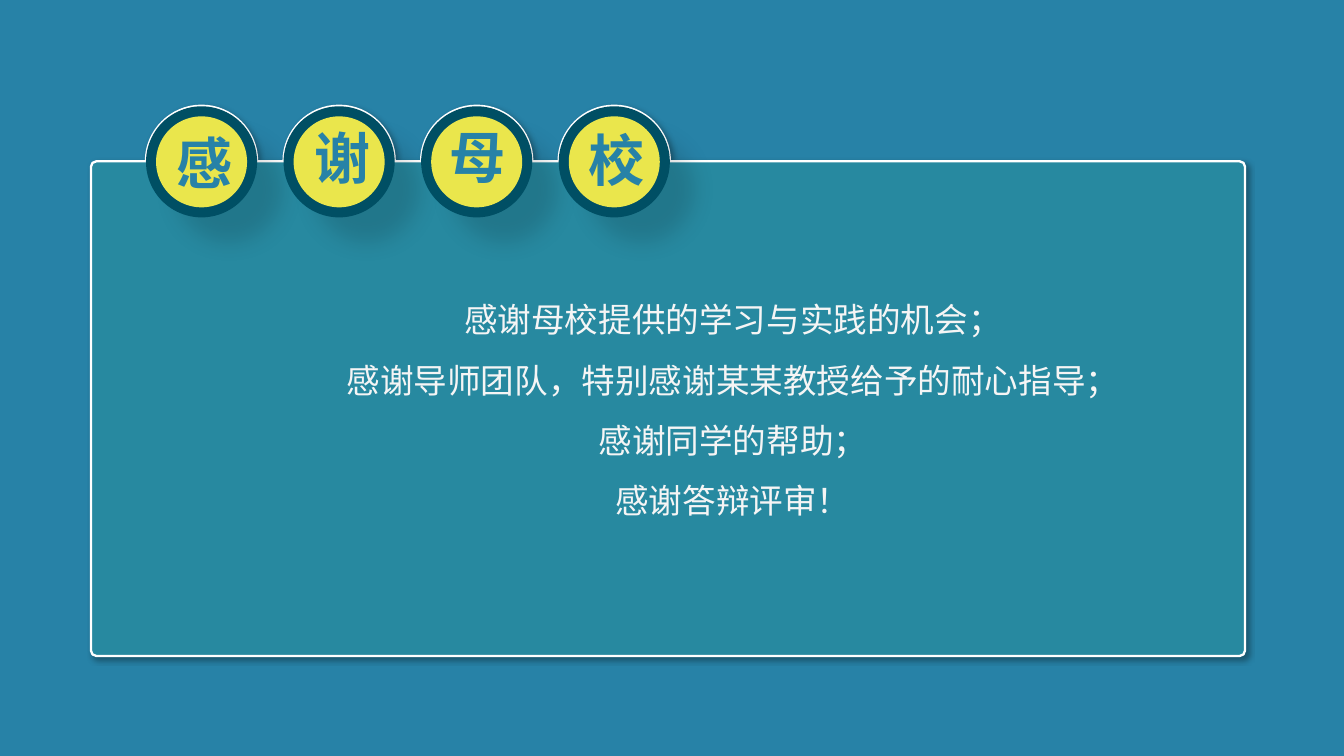
from lxml import etree
from pptx import Presentation
from pptx import util as u
from pptx.dml.color import RGBColor
from pptx.enum import shapes, text
from pptx.oxml.ns import qn

Cm = u.Cm
FONT = "Noto Sans CJK SC"
BLUE, TEAL, NAVY = "2782A7", "2789A0", "004F64"
YELLOW, WHITE, PALE = "EAE64C", "FFFFFF", "F5F5F5"
MARGINS = {"margin_left": Cm(0.18), "margin_right": Cm(0.18),
           "margin_top": Cm(0.1), "margin_bottom": Cm(0.1)}
SLIDE_WIDTH, SLIDE_HEIGHT = 25.4, 14.29

# Each heading character with its nudge from the centre of its badge, in cm
HEADING = [("感", -0.66, -0.73), ("谢", -0.64, -0.83),
           ("母", -0.69, -0.85), ("校", -0.67, -0.78)]
THANKS = [
    "感谢母校提供的学习与实践的机会；",
    "感谢导师团队，特别感谢某某教授给予的耐心指导；",
    "感谢同学的帮助；",
    "感谢答辩评审！",
]
BADGE_RADIUS, BADGE_PITCH, FIRST_BADGE = 1.05, 2.6, 2.09
ROUNDNESS = 0.55  # handle length of a quarter circle, as a share of its radius


def paint(fill, colour):
    fill.solid()
    fill.fore_color.rgb = RGBColor.from_string(colour)


def set_format(target, values):
    for name, value in values.items():
        setattr(target, name, value)


def style_run(run, colour, **values):
    set_format(run.font, {"name": FONT, **values})
    paint(run.font.fill, colour)
    etree.SubElement(run.font._element, qn("a:ea"), typeface=FONT)


def cast_shadow(shape, alpha, blur, distance, scale=100):
    """Throw a black shadow down to the right; alpha and scale in percent, lengths in points."""
    shape.shadow.inherit = False
    effects = shape._element.spPr.find(qn("a:effectLst"))
    outer = etree.SubElement(effects, qn("a:outerShdw"), blurRad=str(u.Pt(blur)),
                             dist=str(u.Pt(distance)), dir=str(45 * 60000),
                             sx=str(scale * 1000), sy=str(scale * 1000),
                             algn="tl", rotWithShape="0")
    black = etree.SubElement(outer, qn("a:srgbClr"), val="000000")
    etree.SubElement(black, qn("a:alpha"), val=str(alpha * 1000))


def add_backdrop(layout, slide):
    backdrop = slide.shapes.add_shape(shapes.MSO_SHAPE.RECTANGLE, 0, Cm(-0.08),
                                      Cm(SLIDE_WIDTH), Cm(SLIDE_HEIGHT + 0.08))
    paint(backdrop.fill, BLUE)
    backdrop.line.fill.background()
    backdrop.shadow.inherit = False
    layout.shapes._spTree.insert(2, backdrop._element)


def badge_centres(left):
    return [left + FIRST_BADGE + BADGE_PITCH * i for i in range(len(HEADING))]


def curve_segment(line, start, bend, end):
    """Turn a straight path segment into a quarter circle that bends towards a corner."""
    curve = etree.Element(qn("a:cubicBezTo"))
    handles = [tuple(p + ROUNDNESS * (b - p) for p, b in zip(point, bend))
               for point in (start, end)]
    for x, y in (*handles, end):
        etree.SubElement(curve, qn("a:pt"), x=str(round(x)), y=str(round(y)))
    line.getparent().replace(line, curve)


def add_panel(slide, left, top, width, height, corner=0.1):
    right, bottom, r = left + width, top + height, BADGE_RADIUS
    # Points in order, each with the corner its curve bends towards, if it has one
    outline = [((left, top + corner), None), ((left + corner, top), (left, top))]
    for x in badge_centres(left):
        outline += [((x - r, top), None),
                    ((x, top - r), (x - r, top - r)),
                    ((x + r, top), (x + r, top - r))]
    outline += [((right - corner, top), None), ((right, top + corner), (right, top)),
                ((right, bottom - corner), None), ((right - corner, bottom), (right, bottom)),
                ((left + corner, bottom), None), ((left, bottom - corner), (left, bottom))]

    points = [(Cm(x), Cm(y)) for (x, y), _ in outline]
    builder = slide.shapes.build_freeform(*points[0])
    builder.add_line_segments(points[1:], close=True)
    panel = builder.convert_to_shape()

    def local(point):
        return Cm(point[0]) - panel.left, Cm(point[1]) - panel.top

    segments = list(panel._element.iter(qn("a:lnTo")))
    for line, (start, _), (end, bend) in zip(segments, outline, outline[1:]):
        if bend:
            curve_segment(line, local(start), local(bend), local(end))

    paint(panel.fill, TEAL)
    paint(panel.line.fill, WHITE)
    panel.line.width = u.Pt(1.25)
    cast_shadow(panel, 32, 3, 2)


def add_badge(slide, x, y):
    badge = slide.shapes.add_group_shape()
    for radius, colour in ((BADGE_RADIUS, NAVY), (0.86, YELLOW)):
        disc = badge.shapes.add_shape(shapes.MSO_SHAPE.OVAL, Cm(x - radius), Cm(y - radius),
                                      Cm(2 * radius), Cm(2 * radius))
        paint(disc.fill, colour)
        disc.line.fill.background()
        if colour == NAVY:
            cast_shadow(disc, 12, 12, 23, scale=95)
        else:
            disc.shadow.inherit = False


def add_heading(slide, left, top):
    centres = badge_centres(left)
    for x in centres:
        add_badge(slide, x, top)
    for x, (character, dx, dy) in zip(centres, HEADING):
        label = slide.shapes.add_textbox(Cm(x + dx), Cm(top + dy), Cm(1.04), Cm(1.47))
        set_format(label.text_frame, {**MARGINS, "word_wrap": True})
        run = label.text_frame.paragraphs[0].add_run()
        run.text = character
        style_run(run, BLUE, size=u.Pt(30), bold=True)


def add_thanks(slide, left, top, width, height):
    body = slide.placeholders[1]
    set_format(body, {"left": Cm(left), "top": Cm(top),
                      "width": Cm(width), "height": Cm(height)})
    frame = body.text_frame
    set_format(frame, {**MARGINS, "word_wrap": True,
                       "vertical_anchor": text.MSO_ANCHOR.TOP,
                       "auto_size": text.MSO_AUTO_SIZE.SHAPE_TO_FIT_TEXT})
    frame.text = "\n".join(THANKS)
    for paragraph in frame.paragraphs:
        properties = paragraph._p.get_or_add_pPr()
        properties.set("marL", "0")
        properties.set("indent", "0")
        etree.SubElement(properties, qn("a:buNone"))
        set_format(paragraph, {"alignment": text.PP_ALIGN.CENTER, "line_spacing": 1.5,
                               "space_before": u.Pt(0)})
        style_run(paragraph.runs[0], PALE, size=u.Pt(18))
    slide.shapes._spTree.append(body._element)  # in front of the panel


def add_thanks_slide(deck):
    layout = deck.slide_layouts[1]
    slide = deck.slides.add_slide(layout)
    add_backdrop(layout, slide)
    title = slide.shapes.title._element
    title.getparent().remove(title)
    left, top, width, height = 1.72, 3.05, 21.81, 9.35
    add_panel(slide, left, top, width, height)
    add_heading(slide, left, top + 0.01)
    add_thanks(slide, left + 4.04, top + 2.12, 16.18, 4.8)


def main():
    deck = Presentation()
    deck.slide_width, deck.slide_height = Cm(SLIDE_WIDTH), Cm(SLIDE_HEIGHT)
    add_thanks_slide(deck)
    deck.save("out.pptx")


if __name__ == "__main__":
    main()
